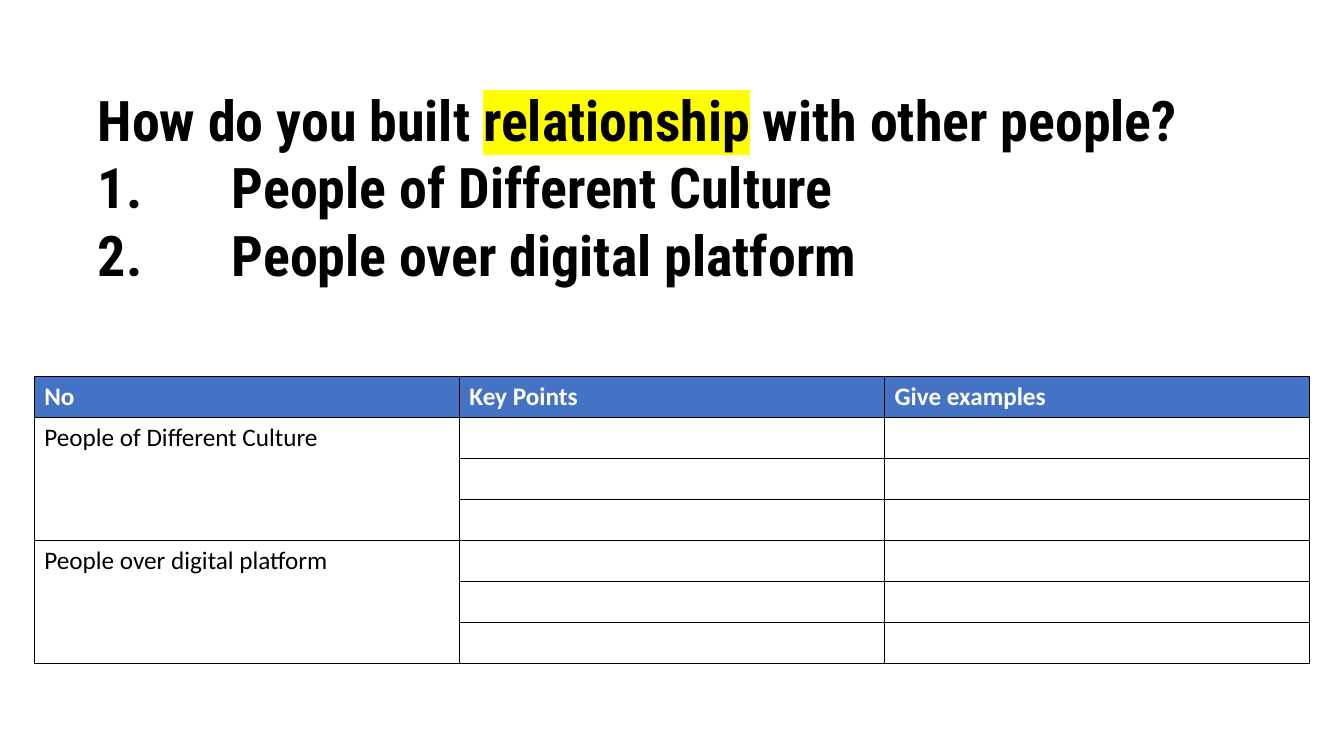
import pptx
import pptx.dml.color
import pptx.enum.text
import pptx.oxml
import pptx.oxml.ns
import pptx.util

COLOURS = {"ink": "000000", "paper": "FFFFFF", "header": "4472C4", "marker": "FFFF00"}
TOPICS = ["People of Different Culture", "People over digital platform"]
HEADERS = ["No", "Key Points", "Give examples"]
ROWS_PER_TOPIC = 3


def colour(name):
    return pptx.dml.color.RGBColor.from_string(COLOURS[name])


def element(tag, attributes="", inner=""):
    namespace = pptx.oxml.ns.nsdecls("a")
    return pptx.oxml.parse_xml(f"<a:{tag} {namespace} {attributes}>{inner}</a:{tag}>")


def colour_xml(name):
    return f'<a:srgbClr val="{COLOURS[name]}"/>'


class SlideBuilder:
    title_font = {"name": "Roboto Condensed", "size": pptx.util.Pt(40), "bold": True}
    table_font = {"name": "Calibri", "size": pptx.util.Pt(18)}

    def __init__(self, deck):
        self.width, self.height = deck.slide_width, deck.slide_height
        self.page = deck.slides.add_slide(deck.slide_layouts[5])

    def place(self, left, top, width, height):
        return (int(left * self.width), int(top * self.height),
                int(width * self.width), int(height * self.height))

    def span(self, para, text, font, ink="ink"):
        span = para.add_run()
        span.text = text
        for name, value in font.items():
            setattr(span.font, name, value)
        span.font.color.rgb = colour(ink)
        return span

    def highlight(self, span, name):
        latin = span.font._element.find(pptx.oxml.ns.qn("a:latin"))
        latin.addprevious(element("highlight", inner=colour_xml(name)))

    def number(self, para, indent):
        properties = para._p.get_or_add_pPr()
        properties.set("marL", str(indent))
        properties.set("indent", str(-indent))
        properties.append(element("buAutoNum", 'type="arabicPeriod"'))

    def title(self, area, question, items):
        box = self.page.shapes.title
        for name, value in zip(("left", "top", "width", "height"), self.place(*area)):
            setattr(box, name, value)
        frame = box.text_frame
        layout = {
            "margin_left": pptx.util.Inches(0.13),
            "margin_right": pptx.util.Inches(0.13),
            "margin_top": pptx.util.Inches(0.07),
            "margin_bottom": pptx.util.Inches(0.07),
            "word_wrap": True,
            "auto_size": pptx.enum.text.MSO_AUTO_SIZE.SHAPE_TO_FIT_TEXT,
            "vertical_anchor": pptx.enum.text.MSO_ANCHOR.TOP,
        }
        for name, value in layout.items():
            setattr(frame, name, value)
        para = frame.paragraphs[0]
        for text, marker in question:
            span = self.span(para, text, self.title_font)
            if marker:
                self.highlight(span, marker)
        for item in items:
            para = frame.add_paragraph()
            self.span(para, item, self.title_font)
            self.number(para, pptx.util.Inches(1.33))
        for para in frame.paragraphs:
            para.alignment = pptx.enum.text.PP_ALIGN.LEFT

    def cell(self, cell, fill):
        cell.fill.solid()
        cell.fill.fore_color.rgb = colour(fill)
        properties = cell._tc.get_or_add_tcPr()
        line = f"<a:solidFill>{colour_xml('ink')}</a:solidFill>"
        for index, side in enumerate(("lnL", "lnR", "lnT", "lnB")):
            properties.insert(index, element(side, f'w="{pptx.util.Pt(1)}"', line))

    def table(self, area, headers, topics, rows_per_topic):
        row_count = 1 + len(topics) * rows_per_topic
        frame = self.page.shapes.add_table(row_count, len(headers), *self.place(*area))
        table = frame.table
        table.horz_banding = False
        for row in range(row_count):
            for column in range(len(headers)):
                self.cell(table.cell(row, column), "paper" if row else "header")
        for column, text in enumerate(headers):
            para = table.cell(0, column).text_frame.paragraphs[0]
            self.span(para, text, {**self.table_font, "bold": True}, "paper")
        for index, text in enumerate(topics):
            first = 1 + index * rows_per_topic
            topic = table.cell(first, 0)
            topic.merge(table.cell(first + rows_per_topic - 1, 0))
            para = topic.text_frame.paragraphs[0]
            self.span(para, text, {**self.table_font, "bold": False})


def main():
    deck = pptx.Presentation()
    deck.slide_width = pptx.util.Inches(13.33)
    deck.slide_height = pptx.util.Inches(7.5)
    builder = SlideBuilder(deck)
    question = [("How do you built ", None), ("relationship", "marker"),
                (" with other people?", None)]
    builder.title((0.063, 0.104, 0.874, 0.287), question, TOPICS)
    builder.table((0.0255, 0.4985, 0.949, 0.379), HEADERS, TOPICS, ROWS_PER_TOPIC)
    deck.save("out.pptx")


if __name__ == "__main__":
    main()
